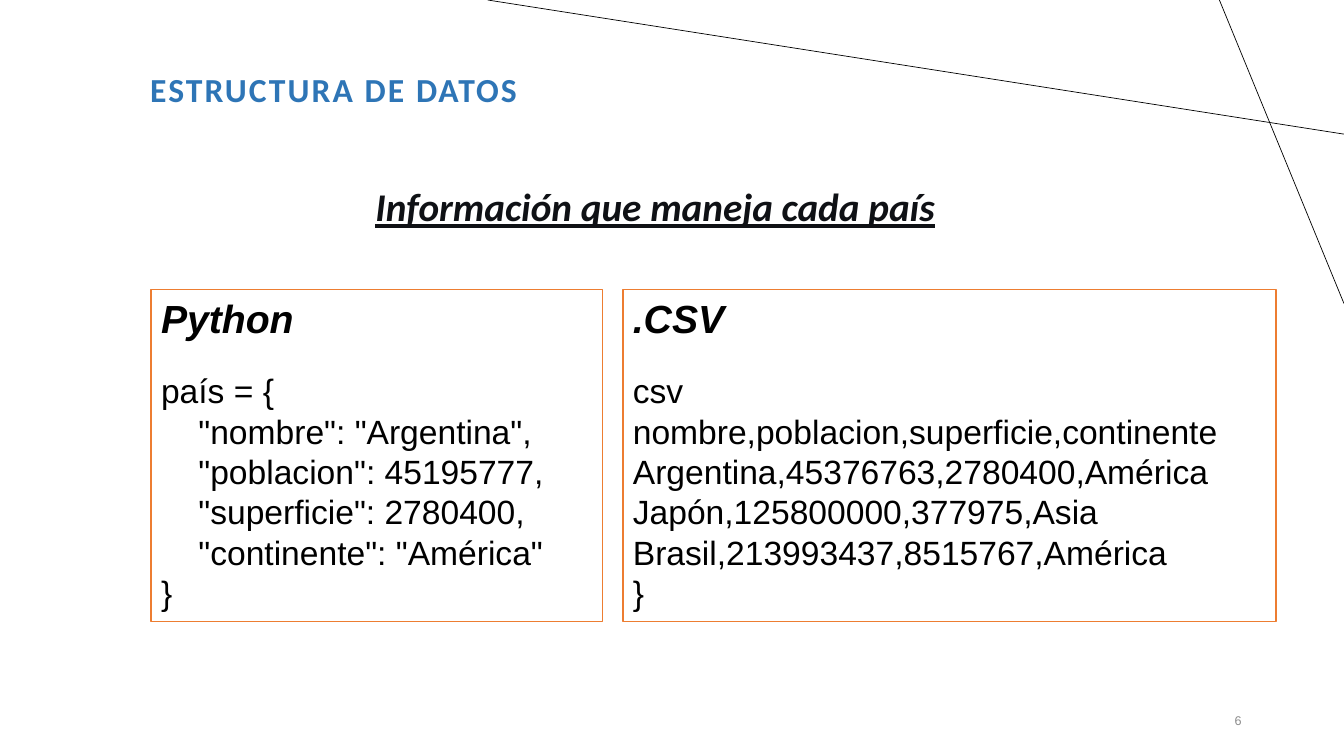
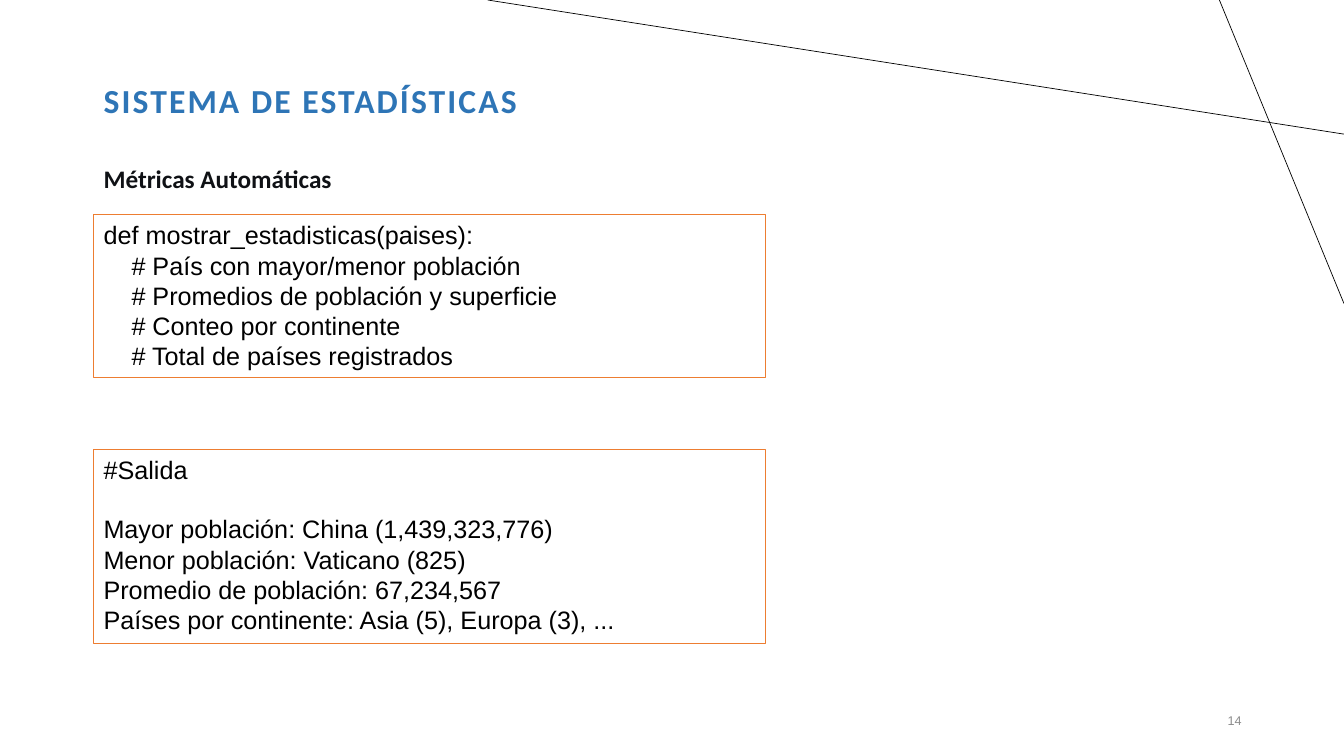
"""Build two slides on country data structures and statistics."""
from dataclasses import dataclass

from lxml import etree
from pptx import Presentation
from pptx.dml.color import RGBColor
from pptx.enum.shapes import MSO_CONNECTOR, MSO_SHAPE
from pptx.enum.text import MSO_ANCHOR, MSO_AUTO_SIZE, PP_ALIGN
from pptx.oxml.ns import qn
from pptx.util import Cm, Pt

STRAIGHT = MSO_CONNECTOR.STRAIGHT
RECT = MSO_SHAPE.RECTANGLE
TOP, MIDDLE, BOTTOM = MSO_ANCHOR.TOP, MSO_ANCHOR.MIDDLE, MSO_ANCHOR.BOTTOM
LEFT, CENTER, RIGHT = PP_ALIGN.LEFT, PP_ALIGN.CENTER, PP_ALIGN.RIGHT
NO_FIT = MSO_AUTO_SIZE.NONE


@dataclass(frozen=True)
class Theme:
    heading_font: str = "Calibri"
    body_font: str = "Arial"
    blue: str = "2E75B6"
    ink: str = "0F1115"
    black: str = "000000"
    grey: str = "8C8C8C"
    orange: str = "ED7D31"
    white: str = "FFFFFF"
    title: int = 24
    banner: int = 28
    code_large: int = 24
    code: int = 18
    number: int = 9
    gap: float = 20.7
    tracking: str = "150"


T = Theme()


def write(p, text, font, size, color, bold=False, italic=False, align=LEFT):
    p.text = text
    p.alignment = align
    p.font.name = font
    p.font.size = Pt(size)
    p.font.color.rgb = RGBColor.from_string(color)
    p.font.bold = bold
    p.font.italic = italic


def add_panel(s, box, outline=None):
    sp = s.shapes.add_shape(RECT, *map(Cm, box))
    sp.shadow.inherit = False
    sp.fill.solid()
    sp.fill.fore_color.rgb = RGBColor.from_string(T.white)
    if outline:
        sp.line.color.rgb = RGBColor.from_string(outline)
        sp.line.width = Pt(1)
    else:
        sp.line.fill.background()
    tf = sp.text_frame
    tf.word_wrap = True
    tf.vertical_anchor = TOP
    return tf


RULES = [(33.87, 3.38, 12.29, 0), (30.73, 0, 33.87, 7.65)]
NUMBER_BOX = (28.8, 17.65, 2.74, 1.02)

SLIDES = [
    {
        "title": "ESTRUCTURA DE DATOS",
        "title_box": (3.53, 1.42, 13.69, 1.45),
        "number": "6",
        "subtitle": "Información que maneja cada país",
        "subtitle_box": (8.28, 4.04, 16.46, 2.9),
        "subtitle_size": T.banner,
        "banner": True,
        "code_size": T.code_large,
        "blocks": [
            ((3.81, 7.29, 11.38, 8.38), "Python", [
                "país = {",
                "\t\"nombre\": \"Argentina\",",
                "\t\"poblacion\": 45195777,",
                "\t\"superficie\": 2780400,",
                "\t\"continente\": \"América\"",
                "}",
            ]),
            ((15.7, 7.29, 16.46, 8.38), ".CSV", [
                "csv",
                "nombre,poblacion,superficie,continente",
                "Argentina,45376763,2780400,América",
                "Japón,125800000,377975,Asia",
                "Brasil,213993437,8515767,América",
                "}",
            ]),
        ],
    },
    {
        "title": "SISTEMA DE ESTADÍSTICAS",
        "title_box": (2.36, 1.88, 16.94, 1.27),
        "number": "14",
        "subtitle": "Métricas Automáticas",
        "subtitle_box": (2.36, 3.99, 16.94, 1.02),
        "subtitle_size": T.code,
        "banner": False,
        "code_size": T.code,
        "blocks": [
            ((2.36, 5.41, 16.94, 4.11), None, [
                "def mostrar_estadisticas(paises):",
                "\t# País con mayor/menor población",
                "\t# Promedios de población y superficie",
                "\t# Conteo por continente",
                "\t# Total de países registrados",
            ]),
            ((2.36, 11.33, 16.94, 4.88), "#Salida", [
                "Mayor población: China (1,439,323,776)",
                "Menor población: Vaticano (825)",
                "Promedio de población: 67,234,567",
                "Países por continente: Asia (5), Europa (3), ...",
            ]),
        ],
    },
]

prs = Presentation()
prs.slide_width, prs.slide_height = Cm(33.87), Cm(19.05)

for data in SLIDES:
    s = prs.slides.add_slide(prs.slide_layouts[5])
    banner = data["banner"]

    for ends in RULES:
        rule = s.shapes.add_connector(STRAIGHT, *map(Cm, ends))
        rule.line.color.rgb = RGBColor.from_string(T.black)
        rule.line.width = Pt(0.5)
        etree.SubElement(rule.element.spPr, qn("a:effectLst"))

    title = s.shapes.title
    title.left, title.top, title.width, title.height = map(Cm, data["title_box"])
    tf = title.text_frame
    tf.auto_size = NO_FIT
    tf.vertical_anchor = BOTTOM
    p = tf.paragraphs[0]
    write(p, data["title"], T.heading_font, T.title, T.blue, bold=True)
    p._p.get_or_add_pPr().get_or_add_defRPr().set("spc", T.tracking)

    tf = s.shapes.add_textbox(*map(Cm, NUMBER_BOX)).text_frame
    tf.word_wrap = True
    tf.vertical_anchor = MIDDLE
    write(tf.paragraphs[0], data["number"], T.body_font, T.number, T.grey, align=RIGHT)

    tf = add_panel(s, data["subtitle_box"])
    p = tf.paragraphs[0]
    write(p, data["subtitle"], T.heading_font, data["subtitle_size"], T.ink,
          bold=True, italic=banner, align=CENTER if banner else LEFT)
    if banner:
        p.font.underline = True
        tf.margin_left = tf.margin_right = 0
        tf.margin_top = Cm(0.56)

    size = data["code_size"]
    for box, heading, lines in data["blocks"]:
        tf = add_panel(s, box, T.orange)
        p = tf.paragraphs[0]
        if heading:
            write(p, heading, T.body_font, T.banner if banner else size, T.black,
                  bold=banner, italic=banner)
            p.space_after = Pt(T.gap)
            p = tf.add_paragraph()
        for i, line in enumerate(lines):
            if i:
                p = tf.add_paragraph()
            write(p, line.lstrip("\t"), T.body_font, size, T.black)
            if line.startswith("\t"):
                p._p.get_or_add_pPr().set("marL", str(Pt(size * 1.11)))

prs.save("out.pptx")
